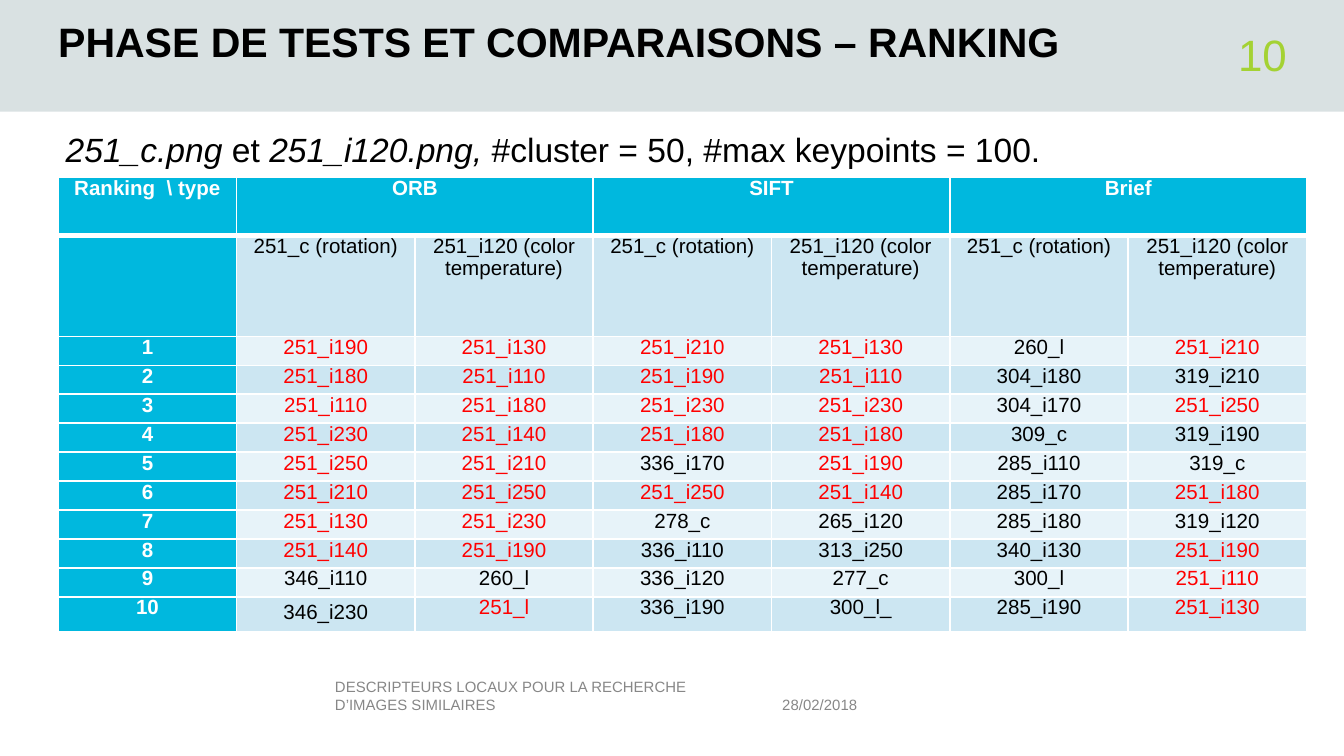
from lxml.etree import SubElement
from pptx import Presentation
from pptx.dml.color import RGBColor
from pptx.enum.shapes import MSO_SHAPE
from pptx.enum.text import MSO_ANCHOR, MSO_AUTO_SIZE, PP_ALIGN
from pptx.oxml.ns import qn
from pptx.util import Inches, Pt

W = Inches(10)
H = W * 9 // 16
WHITE, BLACK, RED, GREY = "FFFFFF", "000000", "FF0000", "878787"
BLUE, BAND, BAND_ALT = "00B8DE", "CCE6F2", "E7F3F9"
HEADER, NUMBER = "D9E1E2", "A4D233"

GROUPS = ["ORB", "SIFT", "Brief"]
IMAGES = ["251_c (rotation)", "251_i120 (color temperature)"]
RANKING = [row.split() for row in """
251_i190 251_i130 251_i210 251_i130 260_l 251_i210
251_i180 251_i110 251_i190 251_i110 304_i180 319_i210
251_i110 251_i180 251_i230 251_i230 304_i170 251_i250
251_i230 251_i140 251_i180 251_i180 309_c 319_i190
251_i250 251_i210 336_i170 251_i190 285_i110 319_c
251_i210 251_i250 251_i250 251_i140 285_i170 251_i180
251_i130 251_i230 278_c 265_i120 285_i180 319_i120
251_i140 251_i190 336_i110 313_i250 340_i130 251_i190
346_i110 260_l 336_i120 277_c 300_l 251_i110
346_i230 251_l 336_i190 300_l_ 285_i190 251_i130
""".strip().splitlines()]


def rgb(color):
    return RGBColor.from_string(color)


def box(x, y, w, h):
    """Turn percentages of the slide into left, top, width, height."""
    return int(W * x / 100), int(H * y / 100), int(W * w / 100), int(H * h / 100)


def inner(area, x, y, w, h):
    """Turn percentages of an area into left, top, width, height."""
    left, top, width, height = area
    return (left + int(width * x / 100), top + int(height * y / 100),
            int(width * w / 100), int(height * h / 100))


def add_run(p, text, size=11, color=BLACK, bold=False, italic=False):
    r = p.add_run()
    r.text = text
    f = r.font
    f.name, f.size, f.bold, f.italic = "Arial", Pt(size), bold, italic
    f.color.rgb = rgb(color)


def set_frame(tf, anchor, margins=(0, 0, 0, 0)):
    tf.word_wrap = True
    tf.auto_size = MSO_AUTO_SIZE.NONE
    tf.vertical_anchor = anchor
    tf.margin_left, tf.margin_top, tf.margin_right, tf.margin_bottom = map(Inches, margins)


def add_text(s, area, text, anchor=MSO_ANCHOR.BOTTOM, align=PP_ALIGN.LEFT, **fmt):
    tf = s.shapes.add_textbox(*area).text_frame
    set_frame(tf, anchor)
    p = tf.paragraphs[0]
    p.alignment = align
    add_run(p, text, **fmt)


def add_header(s, area):
    band = s.shapes.add_shape(MSO_SHAPE.RECTANGLE, *area)
    band.shadow.inherit = False
    band.fill.solid()
    band.fill.fore_color.rgb = rgb(HEADER)
    band.line.fill.background()
    s.shapes.element.insert(2, band.element)  # behind the title

    title = s.shapes.title
    title.left, title.top, title.width, title.height = inner(area, 4.33, 0, 89.8, 59)
    set_frame(title.text_frame, MSO_ANCHOR.BOTTOM)
    p = title.text_frame.paragraphs[0]
    p.alignment = PP_ALIGN.LEFT
    add_run(p, "PHASE DE TESTS ET COMPARAISONS – RANKING", size=22, bold=True)

    add_text(s, inner(area, 83.4, 28, 12.35, 40), "10", MSO_ANCHOR.MIDDLE,
             PP_ALIGN.RIGHT, size=23.5, color=NUMBER)


def add_subtitle(s, area):
    tf = s.shapes.add_textbox(*area).text_frame
    set_frame(tf, MSO_ANCHOR.TOP, (0.1, 0.05, 0.1, 0.05))
    parts = ["251_c.png", " et ", "251_i120.png, ", "#cluster = 50, #max keypoints = 100."]
    for i, text in enumerate(parts):
        add_run(tf.paragraphs[0], text, size=18, italic=i % 2 == 0)


def set_borders(cell, bottom=1):
    tc_pr = cell._tc.get_or_add_tcPr()
    for i, (side, width) in enumerate([("L", 1), ("R", 1), ("T", 1), ("B", bottom)]):
        ln = SubElement(tc_pr, qn("a:ln" + side), w=str(Pt(width)))
        SubElement(SubElement(ln, qn("a:solidFill")), qn("a:srgbClr"), val=WHITE)
        tc_pr.insert(i, ln)


def fill_cell(cell, text, fill, bottom=1, spacing=Pt(12), **fmt):
    cell.fill.solid()
    cell.fill.fore_color.rgb = rgb(fill)
    cell.margin_left = cell.margin_right = Inches(0.07)
    cell.margin_top = cell.margin_bottom = 0
    set_borders(cell, bottom)
    p = cell.text_frame.paragraphs[0]
    p.alignment, p.line_spacing = PP_ALIGN.CENTER, spacing
    if text:
        add_run(p, text, **fmt)


def add_ranking(s, area):
    left, top, width, height = area
    n = len(RANKING)
    cols = 1 + len(GROUPS) * len(IMAGES)
    table = s.shapes.add_table(n + 2, cols, *area).table
    for col in table.columns:
        col.width = width // cols
    shares = [12.7, 22.2] + [6.36] * (n - 1) + [7.7]
    for row, share in zip(table.rows, shares):
        row.height = int(height * share / 100)

    # Group heads, each over its two images
    heads = ["Ranking  \\ type"] + [t for g in GROUPS for t in (g, "")]
    for c, text in enumerate(heads):
        fill_cell(table.cell(0, c), text, BLUE, bottom=3, color=WHITE, bold=True)
    for c in range(1, cols, 2):
        table.cell(0, c).merge(table.cell(0, c + 1))

    # Image names, then the ranked results; matches of image 251 are red
    body = [[""] + IMAGES * len(GROUPS)]
    body += [[str(i)] + row for i, row in enumerate(RANKING, 1)]
    for r, row in enumerate(body, 1):
        for c, text in enumerate(row):
            cell = table.cell(r, c)
            if c == 0:
                fill_cell(cell, text, BLUE, color=WHITE, bold=True)
                continue
            match = r > 1 and text.startswith("251_")
            fill_cell(cell, text, BAND if r % 2 else BAND_ALT,
                      spacing=1.2 if (r, c) == (n + 1, 1) else Pt(12),
                      color=RED if match else BLACK)


def add_footer(s, area):
    add_text(s, inner(area, 60.5, 0, 39.5, 100), "28/02/2018", size=8, color=GREY)
    add_text(s, inner(area, 0, 0, 52.7, 100),
             "DESCRIPTEURS LOCAUX POUR LA RECHERCHE D’IMAGES SIMILAIRES", size=8, color=GREY)


prs = Presentation()
prs.slide_width, prs.slide_height = W, H
s = prs.slides.add_slide(prs.slide_layouts[5])
add_header(s, box(0, 0, 100, 14.76))
add_footer(s, box(24.93, 88.71, 55, 5.69))
add_ranking(s, box(4.34, 23.47, 92.9, 60.27))
add_subtitle(s, box(3.9, 16.18, 93.8, 7.11))
prs.save("out.pptx")
